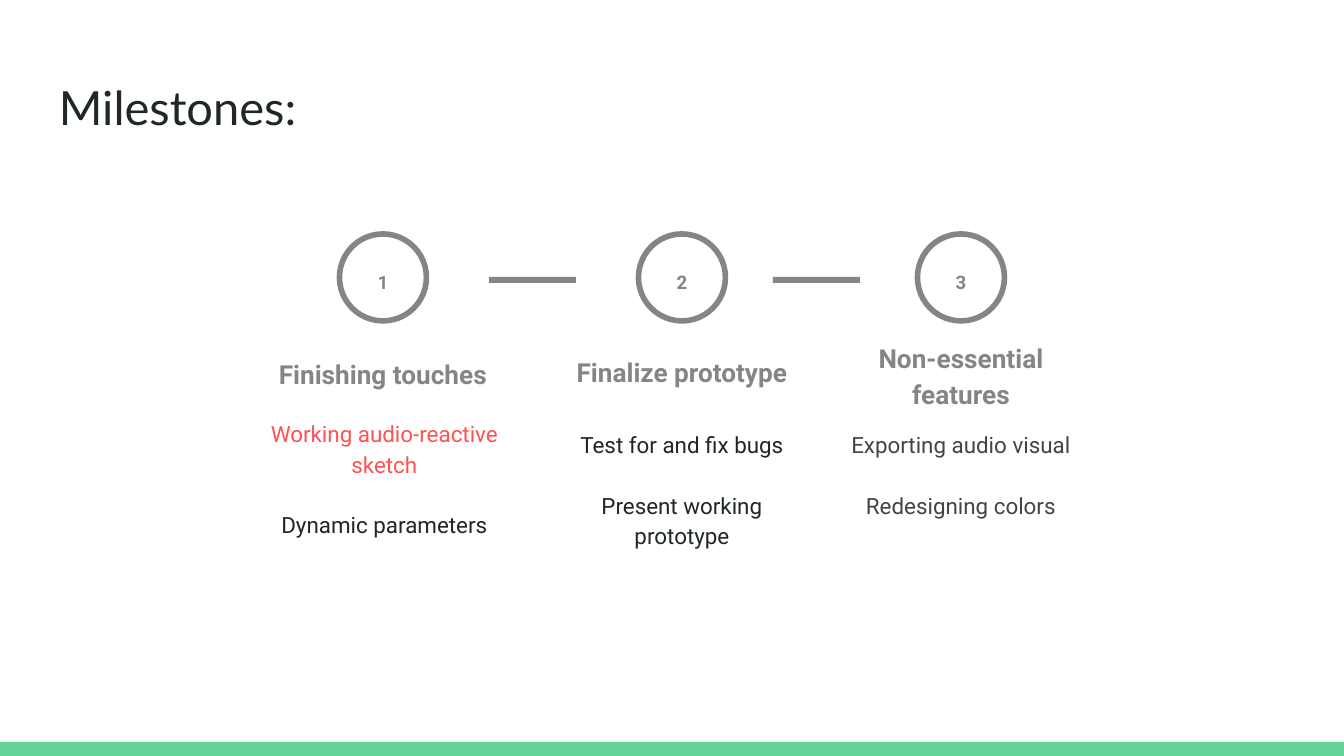
from dataclasses import dataclass

from pptx import Presentation
from pptx.dml.color import RGBColor
from pptx.enum.shapes import MSO_SHAPE
from pptx.enum.text import MSO_ANCHOR, PP_ALIGN
from pptx.util import Emu, Pt

OVAL, RECT, ROUNDED = MSO_SHAPE.OVAL, MSO_SHAPE.RECTANGLE, MSO_SHAPE.ROUNDED_RECTANGLE
TOP, BOTTOM = MSO_ANCHOR.TOP, MSO_ANCHOR.BOTTOM
LEFT, CENTER = PP_ALIGN.LEFT, PP_ALIGN.CENTER
PX_PER_INCH = 134.4


@dataclass(frozen=True)
class Theme:
    ink: str = "202729"
    grey: str = "858585"
    dark_grey: str = "444444"
    red: str = "FF5252"
    green: str = "63D297"
    title_font: str = "Lato"
    body_font: str = "Roboto"
    title_size: float = 25.2
    heading_size: int = 14
    body_size: int = 12
    number_size: int = 10
    ring_width: int = 3
    line_spacing: float = 1.15
    task_gap: int = 16


THEME = Theme()

# Column left, heading top, tasks top, tasks left inset, heading, (task, colour) pairs
MILESTONES = [
    (243, 103, 169, 16, "Finishing touches",
     [("Working audio-reactive sketch", THEME.red), ("Dynamic parameters", THEME.ink)]),
    (542, 101, 180, 13, "Finalize prototype",
     [("Test for and fix bugs", THEME.ink), ("Present working prototype", THEME.ink)]),
    (821, 123, 180, 13, "Non-essential features",
     [("Exporting audio visual", THEME.dark_grey), ("Redesigning colors", THEME.dark_grey)]),
]
DASH_LEFTS = [489, 773]


def px(length):
    return Emu(round(length * 914400 / PX_PER_INCH))


def add_block(shapes, kind, box, fill=None, line=None):
    block = shapes.add_shape(kind, *map(px, box))
    block.shadow.inherit = False
    if fill:
        block.fill.solid()
        block.fill.fore_color.rgb = RGBColor.from_string(fill)
    else:
        block.fill.background()
    if line:
        block.line.color.rgb = RGBColor.from_string(line)
        block.line.width = Pt(THEME.ring_width)
    else:
        block.line.fill.background()
    return block


def add_text(shapes, box, lines, size, font=THEME.body_font, bold=False, align=CENTER,
             anchor=TOP, spacing=THEME.line_spacing, inset_left=13):
    """Write (text, colour) pairs, one paragraph each."""
    frame = shapes.add_textbox(*map(px, box)).text_frame
    frame.word_wrap = True
    frame.vertical_anchor = anchor
    frame.margin_left = px(inset_left)
    frame.margin_right = frame.margin_top = frame.margin_bottom = px(13)
    for index, (text, colour) in enumerate(lines):
        paragraph = frame.add_paragraph() if index else frame.paragraphs[0]
        paragraph.text = text
        paragraph.alignment = align
        paragraph.line_spacing = spacing
        if index:
            paragraph.space_before = Pt(THEME.task_gap)
        paragraph.font.name = font
        paragraph.font.size = Pt(size)
        paragraph.font.bold = bold
        paragraph.font.color.rgb = RGBColor.from_string(colour)


def add_header(shapes, box):
    add_text(shapes, box, [("Milestones:", THEME.ink)], THEME.title_size,
             font=THEME.title_font, align=LEFT, spacing=1.0)


def add_milestone(slide, box, number, heading_top, tasks_top, tasks_inset, heading, tasks):
    left, top, width, _ = box
    parts = slide.shapes.add_group_shape().shapes

    def centred(offset, part_width, part_height):
        return left + (width - part_width) / 2, top + offset, part_width, part_height

    # Ring, heading, tasks, number
    add_block(parts, OVAL, centred(0, 87, 87), line=THEME.grey)
    add_text(parts, centred(heading_top, 251, 66), [(heading, THEME.grey)],
             THEME.heading_size, bold=True, anchor=BOTTOM)
    add_text(parts, centred(tasks_top, width, 109), tasks, THEME.body_size,
             inset_left=tasks_inset)
    add_text(parts, centred(21, 65, 47), [(str(number), THEME.grey)],
             THEME.number_size, bold=True)


def add_timeline(slide, box):
    _, top, _, height = box
    for number, (left, *content) in enumerate(MILESTONES, start=1):
        add_milestone(slide, (left, top, 280, height), number, *content)
    # Dashes between the rings
    for left in DASH_LEFTS:
        dash = add_block(slide.shapes, ROUNDED, (left, top + 43, 87, 6), fill=THEME.grey)
        dash.adjustments[0] = 0


def main():
    deck = Presentation()
    deck.slide_width, deck.slide_height = px(1344), px(756)
    slide = deck.slides.add_slide(deck.slide_layouts[6])
    # Footer band
    add_block(slide.shapes, RECT, (0, 742, 1344, 14), fill=THEME.green)
    add_header(slide.shapes, (46, 66, 1253, 85))
    add_timeline(slide, (243, 234, 858, 289))
    deck.save("out.pptx")


if __name__ == "__main__":
    main()
